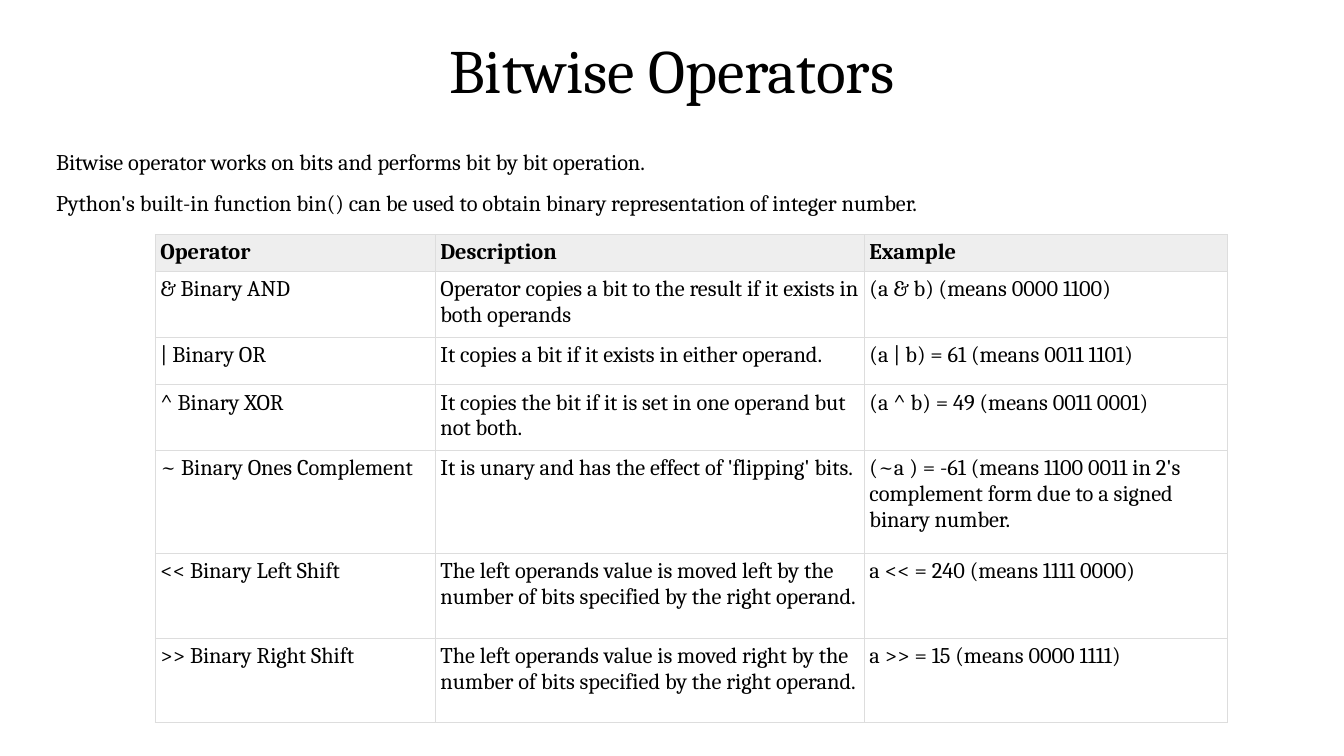
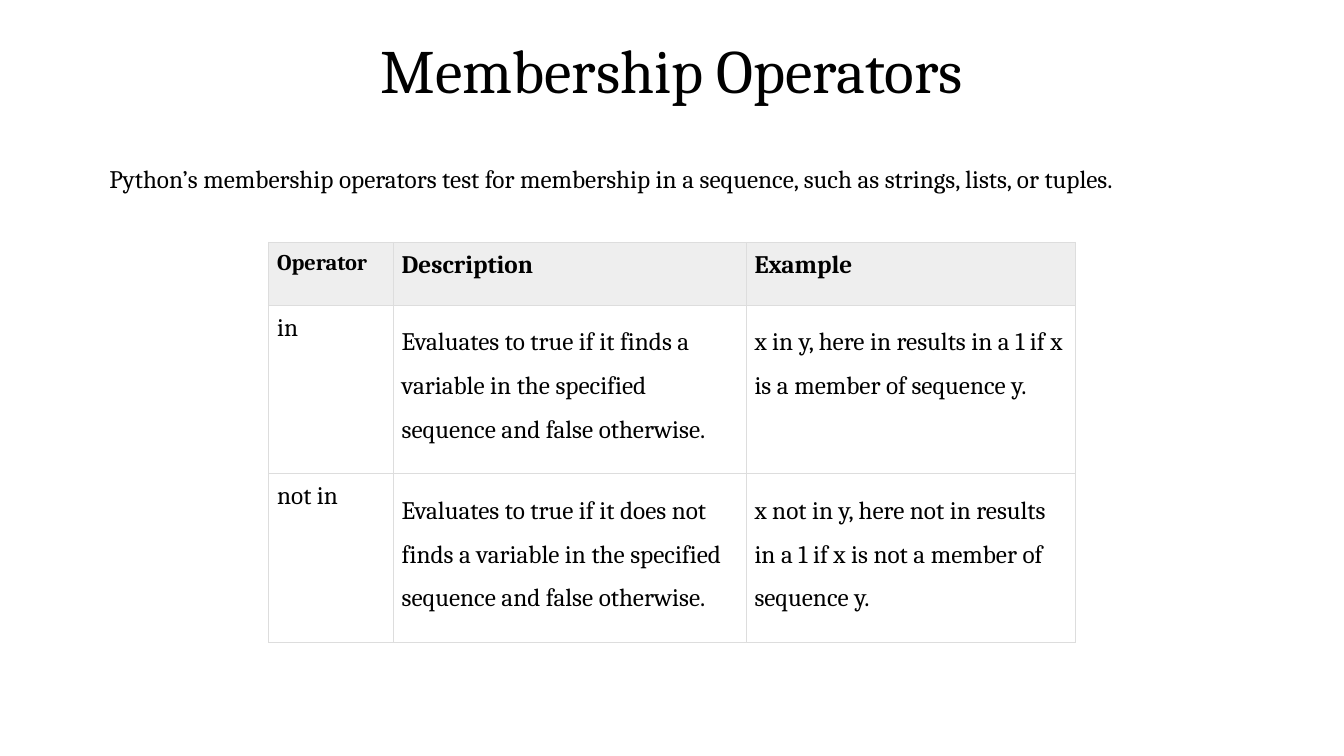
from lxml import etree
from pptx import Presentation
from pptx.dml.color import RGBColor
from pptx.enum.text import MSO_ANCHOR, MSO_AUTO_SIZE, PP_ALIGN
from pptx.oxml.ns import qn
from pptx.util import Pt

MIDDLE = MSO_ANCHOR.MIDDLE
GROW = MSO_AUTO_SIZE.SHAPE_TO_FIT_TEXT
CENTER = PP_ALIGN.CENTER

BLACK = RGBColor(0x00, 0x00, 0x00)
GRAY = RGBColor(0xEE, 0xEE, 0xEE)
RULE = RGBColor(0xDD, 0xDD, 0xDD)
FONT = "Cambria"
WIDTH, HEIGHT = 960, 540
HEADS = ["Operator", "Description", "Example"]

BITS = [
    ["& Binary AND",
     "Operator copies a bit to the result if it exists in both operands",
     "(a & b) (means 0000 1100)"],
    ["| Binary OR",
     "It copies a bit if it exists in either operand.",
     "(a | b) = 61 (means 0011 1101)"],
    ["^ Binary XOR",
     "It copies the bit if it is set in one operand but not both.",
     "(a ^ b) = 49 (means 0011 0001)"],
    ["~ Binary Ones Complement",
     "It is unary and has the effect of 'flipping' bits.",
     "(~a ) = -61 (means 1100 0011 in 2's complement form due to a signed binary number."],
    ["<< Binary Left Shift",
     "The left operands value is moved left by the number of bits specified by the right operand.",
     "a << = 240 (means 1111 0000)"],
    [">> Binary Right Shift",
     "The left operands value is moved right by the number of bits specified by the right operand.",
     "a >> = 15 (means 0000 1111)"],
]

MEMBERS = [
    ["in",
     "Evaluates to true if it finds a variable in the specified sequence and false otherwise.",
     "x in y, here in results in a 1 if x is a member of sequence y."],
    ["not in",
     "Evaluates to true if it does not finds a variable in the specified sequence and false otherwise.",
     "x not in y, here not in results in a 1 if x is not a member of sequence y."],
]


class Deck:
    """Hold the shared style and the current slide."""

    def __init__(self):
        self.prs = Presentation()
        self.prs.slide_width, self.prs.slide_height = Pt(WIDTH), Pt(HEIGHT)
        self.slide = None

    def style(self, para, size, bold=False, space=1.0):
        para.line_spacing = space
        font = para.font
        font.name, font.size, font.bold = FONT, Pt(size), bold
        font.color.rgb = BLACK

    def start(self, title):
        self.slide = self.prs.slides.add_slide(self.prs.slide_layouts[5])
        shape = self.slide.shapes.title
        shape.left, shape.top = Pt(0), Pt(0)
        shape.width, shape.height = Pt(WIDTH), Pt(104.4)
        frame = shape.text_frame
        frame.text = title
        frame.vertical_anchor = MIDDLE
        para = frame.paragraphs[0]
        para.alignment = CENTER
        self.style(para, 44, space=0.9)

    def intro(self, box, lines, size, space=1.0):
        frame = self.slide.shapes.add_textbox(*map(Pt, box)).text_frame
        frame.word_wrap, frame.auto_size = True, GROW
        frame.text = "\n".join(lines)
        for para in frame.paragraphs:
            self.style(para, size, space=space)

    def border(self, cell):
        props = cell._tc.get_or_add_tcPr()
        for side in ("lnL", "lnR", "lnT", "lnB"):
            line = etree.SubElement(props, qn(f"a:{side}"), w=str(Pt(0.75)))
            fill = etree.SubElement(line, qn("a:solidFill"))
            etree.SubElement(fill, qn("a:srgbClr"), val=str(RULE))

    def cell(self, cell, text, size, head, inset, space):
        cell.text = text
        cell.margin_left = cell.margin_right = Pt(inset)
        cell.margin_top = cell.margin_bottom = Pt(inset)
        self.border(cell)
        if head:
            cell.fill.solid()
            cell.fill.fore_color.rgb = GRAY
        else:
            cell.fill.background()
        self.style(cell.text_frame.paragraphs[0], size, head, space)

    def table(self, left, top, widths, heights, data, size, inset, space=1.0):
        rows = [HEADS] + data
        table = self.slide.shapes.add_table(
            len(rows), len(widths), Pt(left), Pt(top),
            Pt(sum(widths)), Pt(sum(heights))).table
        table.horz_banding = False
        for col, width in zip(table.columns, widths):
            col.width = Pt(width)
        for r, (row, height) in enumerate(zip(rows, heights)):
            table.rows[r].height = Pt(height)
            for c, text in enumerate(row):
                points = 16 if r == c == 0 else size
                self.cell(table.cell(r, c), text, points, r == 0, inset,
                          space if r and c else 1.0)


def main():
    deck = Deck()

    deck.start("Bitwise Operators")
    deck.intro((33, 93, 866, 65.5), [
        "Bitwise operator works on bits and performs bit by bit operation.",
        "Python's built-in function bin() can be used to obtain binary "
        "representation of integer number.",
    ], 16, 1.5)
    deck.table(111, 167.5, [200, 306.5, 259],
               [26.4, 47, 34, 47, 73.4, 60.5, 60.5], BITS, 16, 3.6)

    deck.start("Membership Operators")
    deck.intro((71, 113, 800, 29), [
        "Python’s membership operators test for membership in a sequence, "
        "such as strings, lists, or tuples.",
    ], 18)
    deck.table(192, 173, [89, 252, 235], [45, 120.5, 120.5],
               MEMBERS, 18, 6, 1.5)

    deck.prs.save("out.pptx")


if __name__ == "__main__":
    main()
